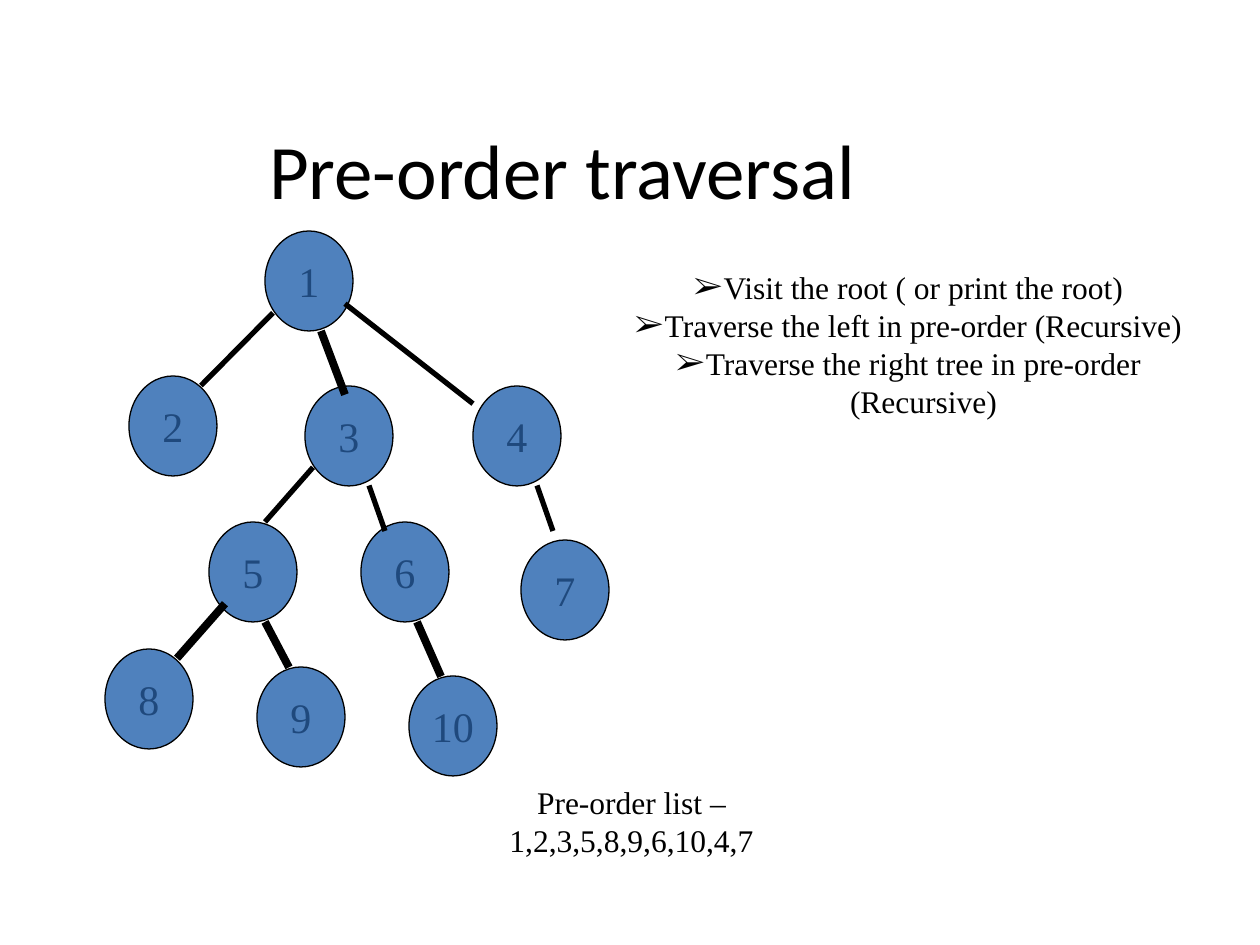
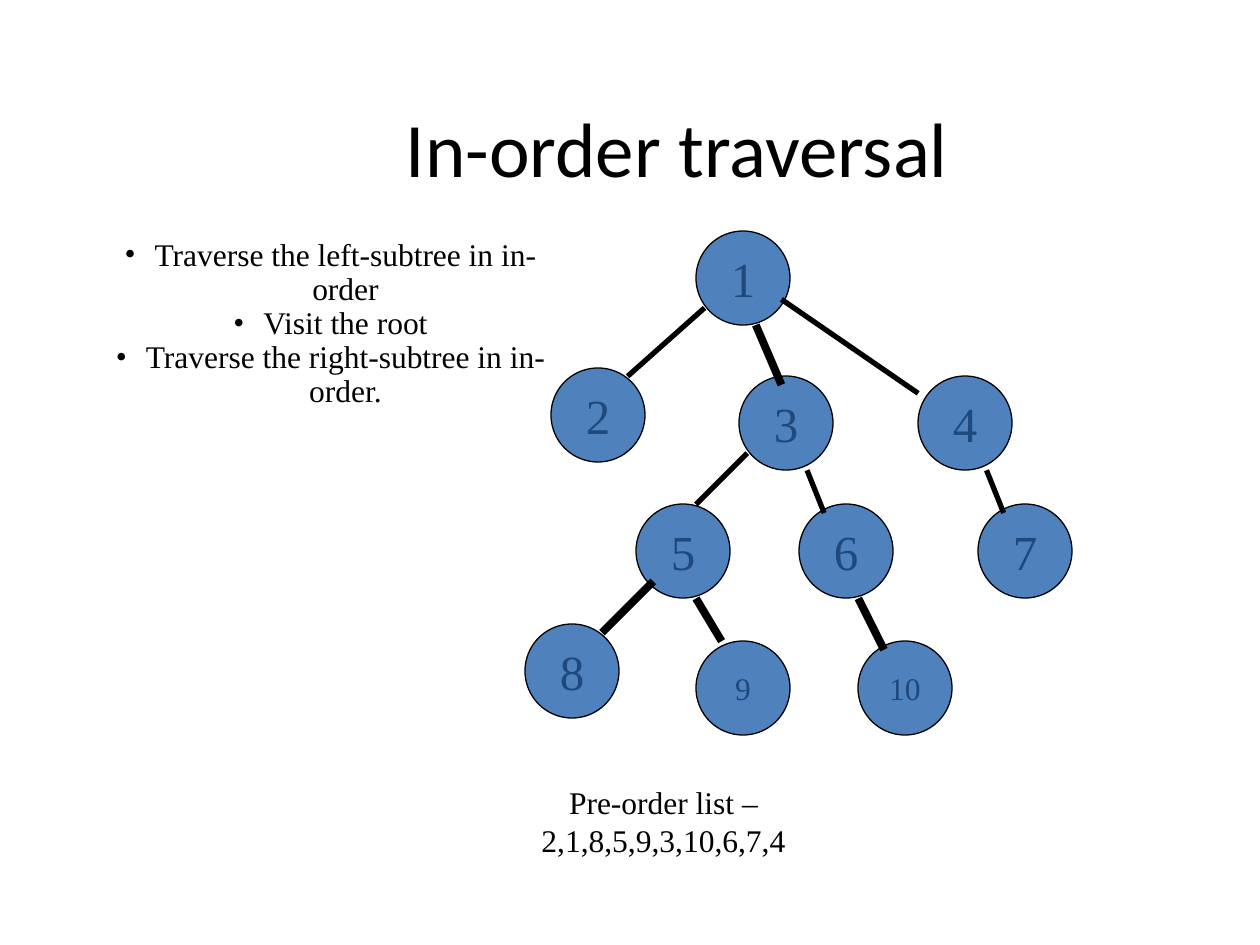
from dataclasses import dataclass

import pptx
import pptx.dml.color
import pptx.enum.shapes
import pptx.enum.text
import pptx.oxml.ns
import pptx.util
from lxml import etree

PX = 914400 / 126  # EMU in one px
COLORS = {"ink": "000000", "node": "4F81BD", "label": "1F497D", "page": "FFFFFF"}
TITLE_FONT, BODY_FONT = "Calibri", "Times New Roman"
CELLS = 11  # grid cells across one node
HANG = 30  # bullet indent


@dataclass
class Box:
    left: int
    top: int
    width: int
    height: int


@dataclass
class Edge:
    start: tuple[int, int]
    end: tuple[int, int]
    weight: float


@dataclass
class Tree:
    """The root's box sets the grid; moved and sizes hold exceptions by label."""
    root: Box
    size: int
    moved: dict[str, tuple[int, int]]
    sizes: dict[str, int]


@dataclass
class Traversal:
    title: str
    title_box: Box
    steps: list[str]
    steps_box: Box
    bullet: str
    spacing: float
    result: str
    result_box: Box
    tree: Tree


# Shared tree layout, in grid cells from the root's corner
NODES = {"1": (0, 0), "2": (-17, 16), "4": (26, 17), "3": (5, 17), "5": (-7, 32),
         "6": (12, 32), "7": (33, 32), "8": (-20, 46), "9": (0, 48), "10": (19, 48)}
EDGES = [
    Edge((1, 9), (-8, 17), 3),
    Edge((7, 11), (10, 18), 4.5),
    Edge((10, 8), (26, 19), 3),
    Edge((6, 26), (0, 32), 3),
    Edge((13, 28), (15, 33), 3),
    Edge((34, 28), (36, 33), 3),
    Edge((-5, 41), (-11, 47), 4.5),
    Edge((0, 43), (3, 48), 4.5),
    Edge((19, 43), (22, 49), 4.5),
]

TRAVERSALS = [
    Traversal(
        "Pre-order traversal", Box(158, 116, 809, 158),
        ["Visit the root ( or print the root)",
         "Traverse the left in pre-order (Recursive)",
         "Traverse the right tree in pre-order (Recursive)"],
        Box(620, 262, 577, 222), "➢", 1.0,
        "Pre-order list –1,2,3,5,8,9,6,10,4,7", Box(403, 777, 457, 50),
        Tree(Box(265, 231, 88, 100), 24,
             {"7": (32, 34), "9": (-1, 48), "10": (18, 49)}, {})),
    Traversal(
        "In-order traversal", Box(252, 94, 850, 158),
        ["Traverse the left-subtree in in-order",
         "Visit the root",
         "Traverse the right-subtree in in-order."],
        Box(94, 233, 473, 244), "•", 0.9,
        "Pre-order list –2,1,8,5,9,3,10,6,7,4", Box(435, 777, 457, 50),
        Tree(Box(696, 231, 94, 94), 28, {}, {"9": 18, "10": 18})),
]


def emu(px: float) -> int:
    return round(px * PX)


def place(box: Box) -> list[int]:
    return [emu(v) for v in (box.left, box.top, box.width, box.height)]


def rgb(name: str) -> pptx.dml.color.RGBColor:
    return pptx.dml.color.RGBColor.from_string(COLORS[name])


def add_run(p, text: str, size: int, font: str = BODY_FONT, color: str = "ink") -> None:
    p.alignment = pptx.enum.text.PP_ALIGN.CENTER
    r = p.add_run()
    r.text = text
    r.font.size = pptx.util.Pt(size)
    r.font.name = font
    r.font.color.rgb = rgb(color)


def add_bullet(p, char: str) -> None:
    pPr = p._p.get_or_add_pPr()
    pPr.set("marL", str(emu(HANG)))
    pPr.set("indent", str(-emu(HANG)))
    qn = pptx.oxml.ns.qn
    etree.SubElement(etree.SubElement(pPr, qn("a:buClr")), qn("a:srgbClr"), val=COLORS["ink"])
    etree.SubElement(pPr, qn("a:buFont"), typeface=BODY_FONT)
    etree.SubElement(pPr, qn("a:buChar"), char=char)


def add_text(slide, box: Box, text: str, size: int, font: str = BODY_FONT,
             wrap: bool = True) -> None:
    tf = slide.shapes.add_textbox(*place(box)).text_frame
    tf.word_wrap = wrap
    add_run(tf.paragraphs[0], text, size, font)


def add_steps(slide, t: Traversal) -> None:
    tf = slide.shapes.add_textbox(*place(t.steps_box)).text_frame
    tf.word_wrap = True
    for i, step in enumerate(t.steps):
        p = tf.add_paragraph() if i else tf.paragraphs[0]
        p.line_spacing = t.spacing
        add_bullet(p, t.bullet)
        add_run(p, step, 18)


def add_node(shapes, box: Box, label: str, size: int) -> None:
    sp = shapes.add_shape(pptx.enum.shapes.MSO_SHAPE.OVAL, *place(box))
    sp.shadow.inherit = False
    sp.fill.solid()
    sp.fill.fore_color.rgb = rgb("node")
    sp.line.color.rgb = rgb("ink")
    sp.line.width = pptx.util.Pt(0.75)
    tf = sp.text_frame
    tf.word_wrap = False
    tf.vertical_anchor = pptx.enum.text.MSO_ANCHOR.MIDDLE
    add_run(tf.paragraphs[0], label, size, color="label")


def add_edge(shapes, start: tuple, end: tuple, weight: float) -> None:
    line = shapes.add_connector(pptx.enum.shapes.MSO_CONNECTOR.STRAIGHT,
                                *(emu(v) for v in (*start, *end)))
    line.line.color.rgb = rgb("ink")
    line.line.width = pptx.util.Pt(weight)
    etree.SubElement(line._element.spPr, pptx.oxml.ns.qn("a:effectLst"))


def add_tree(slide, tree: Tree) -> None:
    root = tree.root

    def at(cell: tuple[int, int]) -> tuple[float, float]:
        return (root.left + cell[0] * root.width / CELLS,
                root.top + cell[1] * root.height / CELLS)

    shapes = slide.shapes.add_group_shape().shapes
    for label, cell in (NODES | tree.moved).items():
        left, top = at(cell)
        add_node(shapes, Box(round(left), round(top), root.width, root.height),
                 label, tree.sizes.get(label, tree.size))
    for edge in EDGES:
        add_edge(shapes, at(edge.start), at(edge.end), edge.weight)


def add_traversal(prs, t: Traversal) -> None:
    slide = prs.slides.add_slide(prs.slide_layouts[6])
    slide.background.fill.solid()
    slide.background.fill.fore_color.rgb = rgb("page")
    add_text(slide, t.title_box, t.title, 44, TITLE_FONT)
    add_tree(slide, t.tree)
    add_text(slide, t.result_box, t.result, 18, wrap=False)
    add_steps(slide, t)


def main() -> None:
    prs = pptx.Presentation()
    prs.slide_width, prs.slide_height = emu(1260), emu(945)
    for t in TRAVERSALS:
        add_traversal(prs, t)
    prs.save("out.pptx")


if __name__ == "__main__":
    main()
